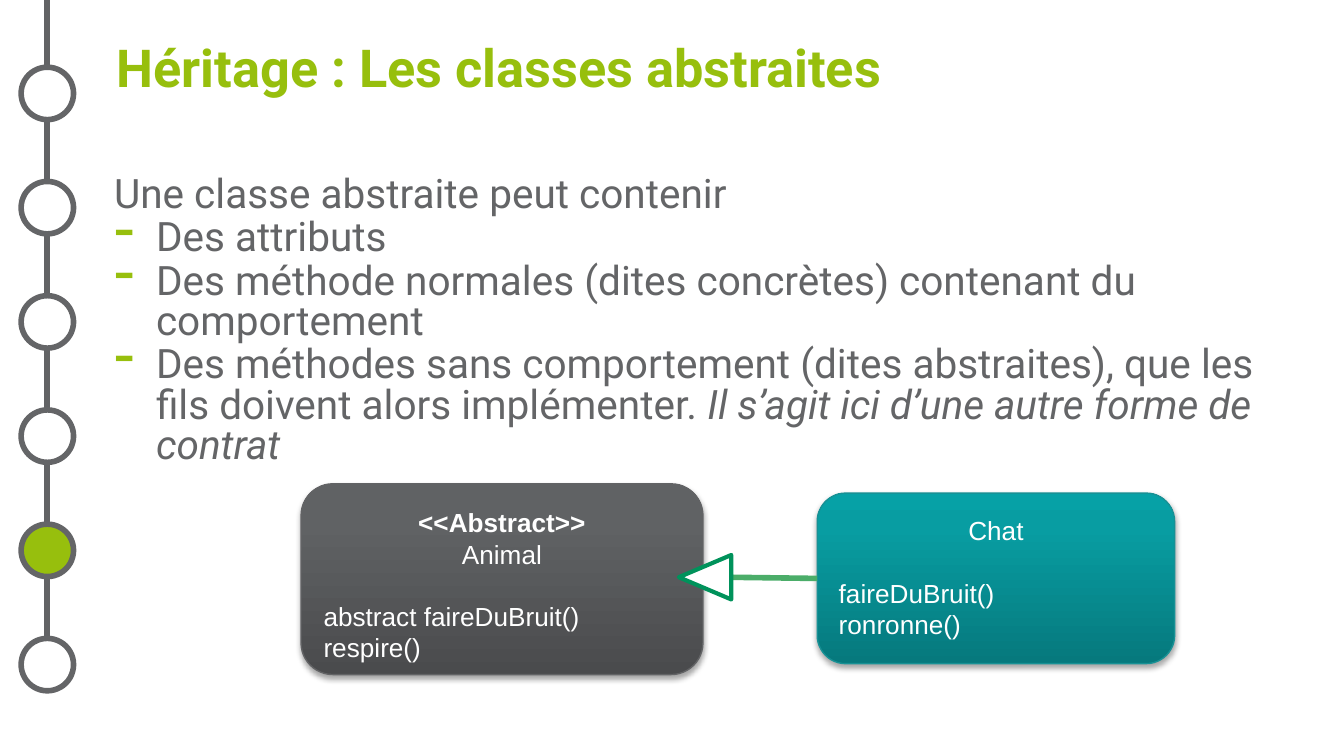
from lxml import etree
from pptx import Presentation
from pptx.dml.color import RGBColor
from pptx.enum.shapes import MSO_CONNECTOR as CONN, MSO_SHAPE as SHAPE
from pptx.enum.text import MSO_ANCHOR as ANCHOR, PP_ALIGN as ALIGN
from pptx.oxml import parse_xml
from pptx.oxml.ns import nsdecls, qn
from pptx.util import Pt

GREEN, GREY, WHITE = "97BF0D", "646567", "FFFFFF"

# Content: a paragraph is a list of (text, run format)
TITLE = "Héritage : Les classes abstraites"
INTRO = "Une classe abstraite peut contenir"
BULLETS = [
    [("Des attributs", {})],
    [("Des méthode normales (dites concrètes) contenant du comportement", {})],
    [("Des méthodes sans comportement (dites abstraites), que les fils doivent "
      "alors implémenter. ", {}),
     ("Il s’agit ici d’une autre forme de contrat", {"italic": True})],
]
CLASSES = [
    {"box": (161.3, 259.2, 215.3, 102.2), "line": "626365",
     "stops": [(0, "4A4B4D"), (80, "606264"), (100, "616265")],
     "head": [("<<Abstract>>", {"bold": True}), ("Animal", {})],
     "methods": ["abstract faireDuBruit()", "respire()"]},
    {"box": (437.8, 264.2, 191.5, 91.4), "line": "179195",
     "stops": [(0, "06797D"), (80, "089DA2"), (100, "06A1A6")],
     "head": [("Chat", {})],
     "methods": ["faireDuBruit()", "ronronne()"]},
]
STEPS, CURRENT_STEP = 6, 4

prs = Presentation()
prs.slide_width, prs.slide_height = Pt(720), Pt(405)
s = prs.slides.add_slide(prs.slide_layouts[6])


def color(value):
    return RGBColor.from_string(value)


def frame(sp, inset, anchor=ANCHOR.TOP):
    tf = sp.text_frame
    tf.word_wrap = True
    tf.vertical_anchor = anchor
    tf.margin_left = tf.margin_right = Pt(inset[0])
    tf.margin_top = tf.margin_bottom = Pt(inset[1])
    return tf


def add_text(tf, runs, size, font, fill, align=ALIGN.LEFT, before=0, spacing=1.0):
    """Add one paragraph, using the empty first one if it is still free."""
    first = tf.paragraphs[0]
    p = tf.add_paragraph() if first.runs else first
    p.alignment, p.space_before, p.line_spacing = align, Pt(before), spacing
    for text, style in runs:
        r = p.add_run()
        r.text = text
        r.font.name, r.font.size = font, Pt(size)
        r.font.color.rgb = color(fill)
        r.font.bold = style.get("bold", False)
        r.font.italic = style.get("italic", False)
    return p


def add_bullet(p, char, fill, percent, indent):
    pPr = p._p.get_or_add_pPr()
    pPr.set("marL", str(Pt(indent)))
    pPr.set("indent", str(-Pt(indent)))
    clr = etree.SubElement(pPr, qn("a:buClr"))
    etree.SubElement(clr, qn("a:srgbClr")).set("val", fill)
    etree.SubElement(pPr, qn("a:buSzPct")).set("val", str(percent * 1000))
    etree.SubElement(pPr, qn("a:buChar")).set("char", char)


def add_shape(kind, box, fill, line, width):
    sp = s.shapes.add_shape(kind, *map(Pt, box))
    sp.shadow.inherit = False
    if fill:
        sp.fill.solid()
        sp.fill.fore_color.rgb = color(fill)
    sp.line.color.rgb = color(line)
    sp.line.width = Pt(width)
    return sp


def add_line(start, end, line, width):
    cn = s.shapes.add_connector(CONN.STRAIGHT, *map(Pt, start + end))
    cn.line.color.rgb = color(line)
    cn.line.width = Pt(width)
    etree.SubElement(cn._element.spPr, qn("a:effectLst"))
    return cn


def set_gradient(sp, stops):
    sp.fill.gradient()
    sp.fill.gradient_angle = 90
    gs_list = sp._element.spPr.find(qn("a:gradFill")).find(qn("a:gsLst"))
    for gs in list(gs_list):
        gs_list.remove(gs)
    for pos, value in stops:
        gs = etree.SubElement(gs_list, qn("a:gs"))
        gs.set("pos", str(pos * 1000))
        etree.SubElement(gs, qn("a:srgbClr")).set("val", value)


def set_shadow(sp):
    sp._element.spPr.find(qn("a:effectLst")).append(parse_xml(
        f'<a:outerShdw {nsdecls("a")} blurRad="{Pt(3.1)}" dist="{Pt(1.8)}" '
        'dir="5400000" rotWithShape="0"><a:srgbClr val="000000">'
        '<a:alpha val="35000"/></a:srgbClr></a:outerShdw>'))


# Body text
tf = frame(s.shapes.add_textbox(Pt(54), Pt(91), Pt(655), Pt(165)), (7.2, 3.6))
body = dict(size=21.7, font="Roboto", fill=GREY, before=1.5, spacing=0.83)
add_text(tf, [(INTRO, {})], **body)
for runs in BULLETS:
    add_bullet(add_text(tf, runs, **body), "-", GREEN, 150, 22.5)

# Title
tf = frame(s.shapes.add_textbox(Pt(62.6), Pt(14.4), Pt(630.7), Pt(42.5)),
           (0, 0), ANCHOR.MIDDLE)
add_text(tf, [(TITLE, {"bold": True})], 28, "Roboto", GREEN)

# Progress rail
add_line((25.3, 0), (25.3, 361.4), "626365", 3)
for i in range(STEPS):
    add_shape(SHAPE.OVAL, (11.3, 36 + i * 61.2, 28.1, 28.1),
              GREEN if i == CURRENT_STEP else WHITE, GREY, 3)

# Class boxes
boxes = []
for cls in CLASSES:
    sp = add_shape(SHAPE.ROUNDED_RECTANGLE, cls["box"], None, cls["line"], 0.75)
    set_gradient(sp, cls["stops"])
    set_shadow(sp)
    tf = frame(sp, (7.2, 7.2))
    label = dict(size=14, font="Arial", fill=WHITE)
    for run in cls["head"]:
        add_text(tf, [run], align=ALIGN.CENTER, **label)
    for i, method in enumerate(cls["methods"]):
        add_text(tf, [(method, {})], before=0 if i else 16.5, **label)
    boxes.append(sp)

# Inheritance arrow
arrow = add_line((437.8, 309.9), (363.6, 308.9), "4BAD69", 3)
arrow.begin_connect(boxes[1], 1)
etree.SubElement(arrow.line._get_or_add_ln(), qn("a:tailEnd")).set("type", "triangle")
head = add_shape(SHAPE.ISOSCELES_TRIANGLE, (365.8, 295.2, 23.8, 28.1),
                 WHITE, "00925B", 2.25)
head.rotation = 270

prs.save("out.pptx")
